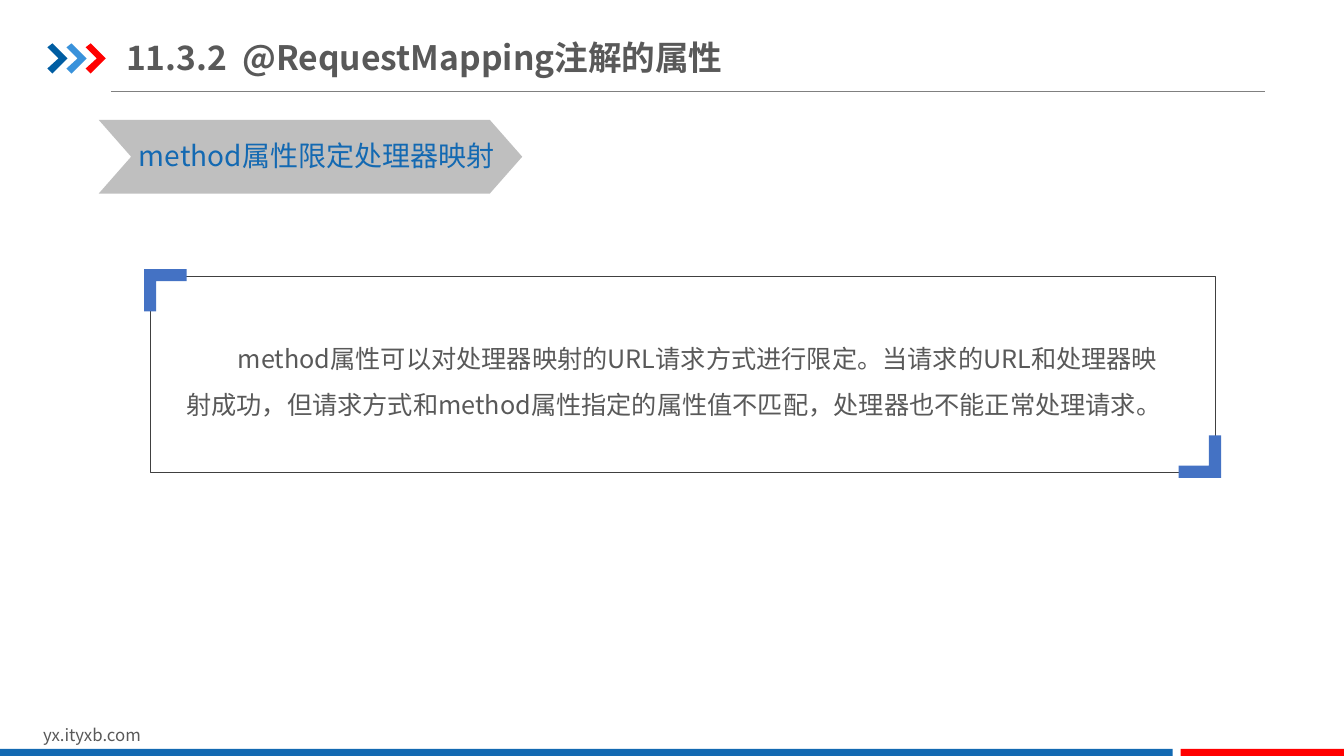
from lxml import etree
from pptx import Presentation
from pptx.dml.color import RGBColor
from pptx.enum.shapes import MSO_CONNECTOR, MSO_SHAPE
from pptx.enum.text import MSO_ANCHOR, MSO_AUTO_SIZE, PP_ALIGN
from pptx.oxml.ns import qn
from pptx.util import Inches, Pt

RECT, CHEVRON = MSO_SHAPE.RECTANGLE, MSO_SHAPE.CHEVRON
STRAIGHT = MSO_CONNECTOR.STRAIGHT
TOP, MIDDLE = MSO_ANCHOR.TOP, MSO_ANCHOR.MIDDLE
LEFT, FIXED = PP_ALIGN.LEFT, MSO_AUTO_SIZE.NONE

FONT = "Noto Sans CJK SC"
COLORS = {
    "text": "595959", "blue": "1369B2", "red": "FF0000", "navy": "005DA2",
    "sky": "3992DB", "silver": "BFBFBF", "rule": "808080", "frame": "404040",
    "corner": "4472C4",
}


def color(name):
    return RGBColor.from_string(COLORS[name])


class Deck:
    def __init__(self, wide, high):
        self.show = Presentation()
        self.show.slide_width, self.show.slide_height = Inches(wide), Inches(high)
        self.slide = self.show.slides.add_slide(self.show.slide_layouts[5])
        self.shapes = self.slide.shapes

    def paint(self, shape, fill=None, line=None, width=0.25):
        shape.shadow.inherit = False
        if fill:
            shape.fill.solid()
            shape.fill.fore_color.rgb = color(fill)
        else:
            shape.fill.background()
        if line:
            shape.line.color.rgb = color(line)
            shape.line.width = Pt(width)
        else:
            shape.line.fill.background()

    def block(self, kind, box, **style):
        shape = self.shapes.add_shape(kind, *map(Inches, box))
        self.paint(shape, **style)
        return shape

    def outline(self, points, fill):
        dots = [(Inches(x), Inches(y)) for x, y in points]
        pen = self.shapes.build_freeform(*dots[0])
        pen.add_line_segments(dots[1:], close=True)
        self.paint(pen.convert_to_shape(), fill)

    def rule(self, x1, y1, x2, y2, tint, width):
        line = self.shapes.add_connector(STRAIGHT, *map(Inches, (x1, y1, x2, y2)))
        line.line.color.rgb = color(tint)
        line.line.width = Pt(width)
        etree.SubElement(line._element.spPr, qn("a:effectLst"))

    def set_text(self, shape, text, size, tint="text", bold=False, inset=(0.1, 0.05),
                 anchor=TOP, indent=0, spacing=None):
        frame = shape.text_frame
        frame.word_wrap, frame.auto_size = True, FIXED
        frame.vertical_anchor = anchor
        frame.margin_left = frame.margin_right = Inches(inset[0])
        frame.margin_top = frame.margin_bottom = Inches(inset[1])
        para = frame.paragraphs[0]
        para.text, para.alignment = text, LEFT
        if spacing:
            para.line_spacing = spacing
        props = para._p.get_or_add_pPr()
        if indent:
            props.set("indent", str(Inches(indent)))
        font = para.font
        font.name, font.size, font.bold = FONT, Pt(size), bold
        font.color.rgb = color(tint)
        # East Asian typeface
        etree.SubElement(props.find(qn("a:defRPr")), qn("a:ea"), typeface=FONT)

    def label(self, box, text, size, **style):
        self.set_text(self.shapes.add_textbox(*map(Inches, box)), text, size, **style)

    def title(self, box, text, size):
        head = self.shapes.title
        head.left, head.top, head.width, head.height = map(Inches, box)
        self.set_text(head, text, size, bold=True, inset=(0, 0.07), anchor=MIDDLE)

    def arrow(self, x, y, fill):
        shape = [(0, 0.04), (0.05, 0), (0.2, 0.15), (0.05, 0.3), (0, 0.25), (0.11, 0.15)]
        self.outline([(x + dx, y + dy) for dx, dy in shape], fill)

    def corner(self, x, y, side):
        # side is 1 for top left, -1 for bottom right
        shape = [(0, 0), (0.42, 0), (0.42, 0.12), (0.12, 0.12), (0.12, 0.42), (0, 0.42)]
        self.outline([(x + side * dx, y + side * dy) for dx, dy in shape], "corner")


def main():
    deck = Deck(13.33, 7.5)

    # Heading
    deck.rule(1.1, 0.91, 12.55, 0.91, "rule", 0.5)
    for step, tint in enumerate(("navy", "sky", "red")):
        deck.arrow(0.47 + 0.19 * step, 0.43, tint)
    deck.title((1.25, 0.29, 6.46, 0.55), "11.3.2  @RequestMapping注解的属性", 24)

    # Footer
    deck.label((0.33, 7.14, 3.18, 0.3), "yx.ityxb.com", 12)
    deck.block(RECT, (0, 7.43, 11.63, 0.09), fill="blue")
    deck.block(RECT, (11.71, 7.43, 1.63, 0.09), fill="red")

    # Section banner
    banner = deck.block(CHEVRON, (0.98, 1.19, 4.2, 0.73), fill="silver")
    banner.adjustments[0] = 0.44
    deck.label((1.28, 1.33, 4.06, 0.44), "method属性限定处理器映射", 20, tint="blue")

    # Framed explanation
    deck.label((1.75, 3.21, 9.94, 1.07),
               "method属性可以对处理器映射的URL请求方式进行限定。当请求的URL和处理器"
               "映射成功，但请求方式和method属性指定的属性值不匹配，处理器也不能正常处理请求。",
               18, indent=0.51, spacing=1.5)
    deck.block(RECT, (1.49, 2.74, 10.56, 1.94), line="frame")
    deck.corner(1.43, 2.67, 1)
    deck.corner(12.11, 4.74, -1)

    deck.show.save("out.pptx")


if __name__ == "__main__":
    main()
